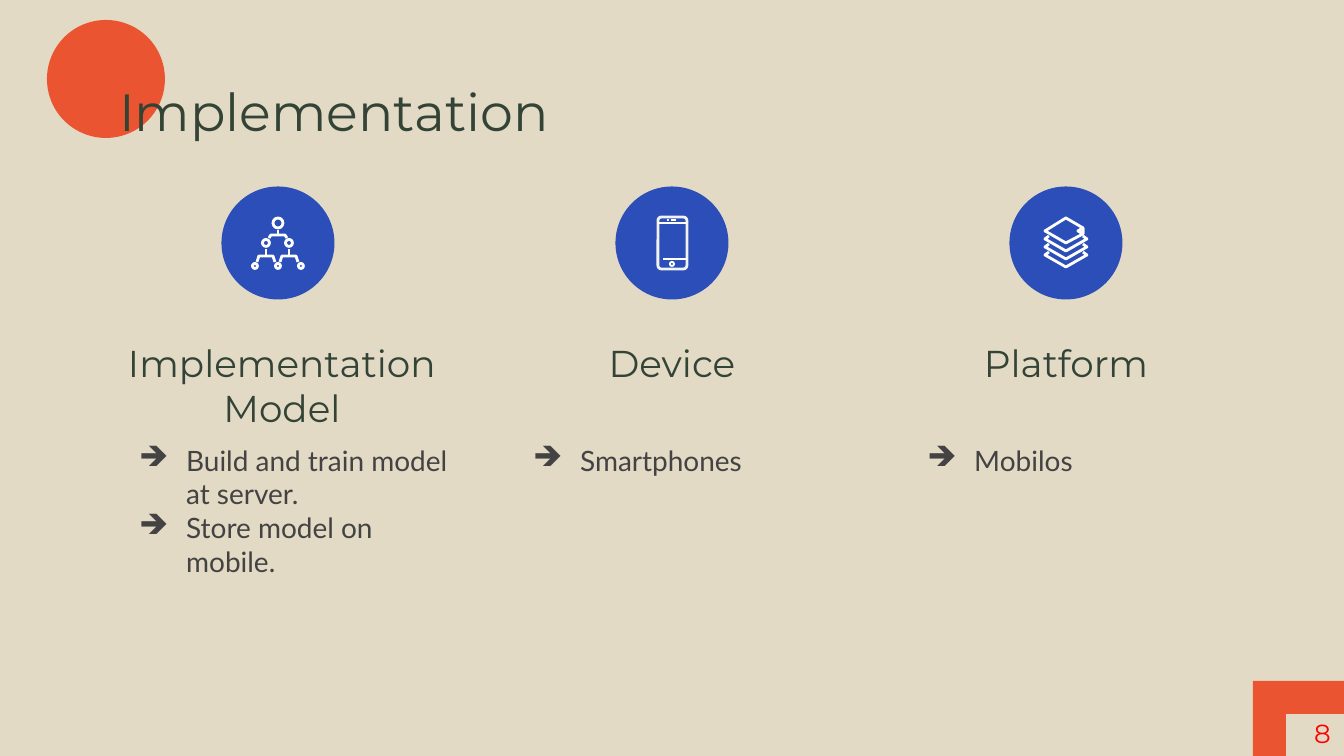
"""Build the Implementation slide with three icon columns."""
from lxml.etree import SubElement
from pptx import Presentation
from pptx.dml.color import RGBColor
from pptx.enum.shapes import MSO_SHAPE as Kind
from pptx.enum.text import PP_ALIGN as Align
from pptx.oxml.ns import qn
from pptx.util import Emu, Pt

SCALE = 914400 / 134.4
SAND, CORAL, BLUE, WHITE = "E3DAC5", "EA5430", "2C4EB8", "FFFFFF"
GREEN, GREY, RED = "334436", "434343", "FF0000"
PITCH, FIRST = 394, 278
COLUMNS = [
    ("Implementation Model", ["Build and train model at server.",
                              "Store model on mobile."], 352, 360),
    ("Device", ["Smartphones"], 344, 344),
    ("Platform", ["Mobilos"], 344, 344),
]


def px(num):
    return Emu(round(num * SCALE))


def tint(code):
    return RGBColor.from_string(code)


def apply(item, form):
    for name, value in form.items():
        setattr(item, name, value)


def paint(shape, fill=None, line=None, width=1.5):
    shape.shadow.inherit = False
    if fill:
        shape.fill.solid()
        shape.fill.fore_color.rgb = tint(fill)
    else:
        shape.fill.background()
    if line:
        shape.line.color.rgb = tint(line)
        shape.line.width = Pt(width)
    else:
        shape.line.fill.background()
    return shape


def form(slide, kind, box, fill=None, line=None, width=1.5):
    shape = slide.shapes.add_shape(kind, *map(px, box))
    return paint(shape, fill, line, width)


def disc(slide, cx, cy, size, **look):
    box = (cx - size / 2, cy - size / 2, size, size)
    return form(slide, Kind.OVAL, box, **look)


def trace(slide, *paths, close=False, width=1.5):
    pen = slide.shapes.build_freeform(*paths[0][0], scale=SCALE)
    pen.add_line_segments(paths[0][1:], close=close)
    for path in paths[1:]:
        pen.move_to(*path[0])
        pen.add_line_segments(path[1:], close=close)
    return paint(pen.convert_to_shape(), line=WHITE, width=width)


def rule(slide, start, end, width=1):
    line = slide.shapes.add_connector(1, *map(px, start + end))
    line.line.color.rgb = tint(WHITE)
    line.line.width = Pt(width)
    SubElement(line._element.spPr, qn("a:effectLst"))


def arrow(para):
    props = para._p.get_or_add_pPr()
    props.set("marL", str(px(67)))
    props.set("indent", str(px(-47)))
    color = SubElement(props, qn("a:buClr"))
    SubElement(color, qn("a:srgbClr"), val=GREY)
    SubElement(props, qn("a:buChar"), char="➔")


def write(slide, box, lines, size, color, face="Montserrat",
          align=Align.LEFT, inset=13.44, bullet=False):
    frame = slide.shapes.add_textbox(*map(px, box)).text_frame
    apply(frame, {"word_wrap": True, "margin_left": px(13.44),
                  "margin_right": px(13.44), "margin_top": px(inset),
                  "margin_bottom": px(inset)})
    frame.text = "\n".join(lines)
    for para in frame.paragraphs:
        if bullet:
            arrow(para)
        para.alignment = align
        font = para.runs[0].font
        apply(font, {"name": face, "size": Pt(size)})
        font.color.rgb = tint(color)


def draw_tree(slide, cx):
    rings = [(0, 223, 10), (-12, 243, 7), (11, 243, 7),
             (-23, 266, 5), (0, 266, 5), (23, 266, 5)]
    for dx, cy, size in rings:
        disc(slide, cx + dx, cy, size, line=WHITE)
    for dx, top, bar, foot in [(0, 230, 235, 238), (-12, 249, 256, 262),
                               (11, 249, 256, 262)]:
        mid = cx + dx
        trace(slide, [(mid - 9, foot), (mid - 7, bar), (mid + 7, bar),
                      (mid + 9, foot)], [(mid, top), (mid, bar)])


def draw_phone(slide, cx):
    case = form(slide, Kind.ROUNDED_RECTANGLE, (cx - 14, 217, 29, 52),
                line="F2F2F2")
    case.adjustments[0] = 0.12
    rule(slide, (cx - 14, 223), (cx + 15, 223))
    rule(slide, (cx - 9, 259), (cx + 15, 259))
    rule(slide, (cx - 1, 220), (cx + 4, 220), 1.5)
    disc(slide, cx - 4, 220, 2, fill=WHITE)
    disc(slide, cx, 264, 4, line=WHITE, width=1)


def draw_stack(slide, cx):
    lid = [(cx - 21, 231), (cx, 218), (cx + 17, 228), (cx + 17, 234),
           (cx, 243)]
    clasp = [(cx + 12, 231), (cx + 17, 228), (cx + 17, 234)]
    trace(slide, lid, clasp, close=True)
    for y in range(239, 256, 8):
        trace(slide, [(cx - 17, y - 3), (cx - 21, y), (cx, y + 12),
                      (cx + 21, y), (cx + 17, y - 3)])


def add_column(slide, cx, head, items, wide, span, draw):
    left = cx - 172
    write(slide, (left, 327, wide, 78), [head], 20, GREEN,
          align=Align.CENTER)
    write(slide, (left, 430, span, 160), items, 15, GREY, "Lato",
          bullet=True)
    disc(slide, cx, 243, 113, fill=BLUE)
    draw(slide, cx)


def main():
    deck = Presentation()
    apply(deck, {"slide_width": px(1344), "slide_height": px(756)})
    slide = deck.slides.add_slide(deck.slide_layouts[6])
    slide.background.fill.solid()
    slide.background.fill.fore_color.rgb = tint(SAND)
    frame = form(slide, Kind.FRAME, (1253, 681, 549, 589), fill=CORAL)
    frame.adjustments[0] = 0.06
    disc(slide, 106, 79, 118, fill=CORAL)
    write(slide, (106, 66, 1133, 85), ["Implementation"], 28, GREEN)
    icons = [draw_tree, draw_phone, draw_stack]
    for num, (column, draw) in enumerate(zip(COLUMNS, icons)):
        add_column(slide, FIRST + num * PITCH, *column, draw)
    write(slide, (1279, 711, 65, 45), ["8"], 14, RED, align=Align.RIGHT,
          inset=6.72)
    deck.save("out.pptx")


if __name__ == "__main__":
    main()
